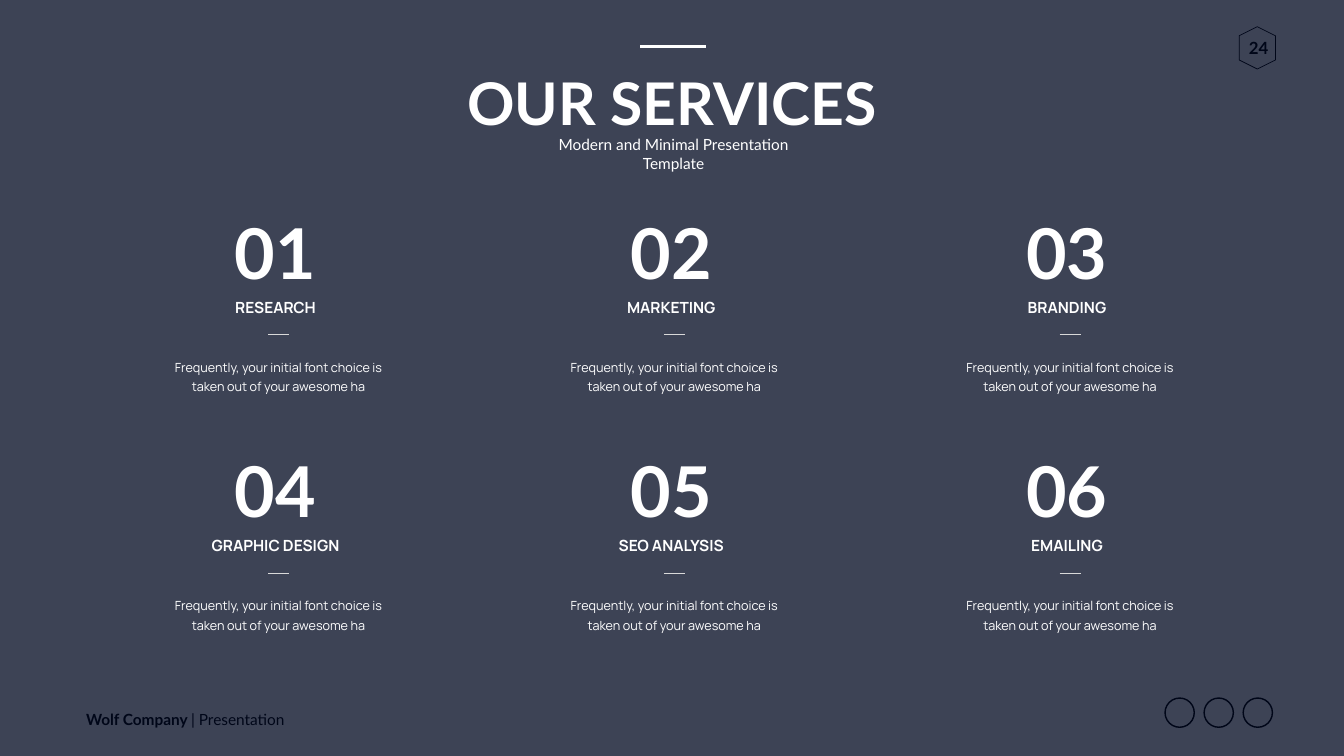
from dataclasses import dataclass

from lxml import etree
from pptx import Presentation
from pptx.dml.color import RGBColor
from pptx.enum import shapes, text
from pptx.oxml.ns import qn
from pptx.util import Inches, Pt


@dataclass(frozen=True)
class Theme:
    ink: str = "000000"
    paper: str = "FFFFFF"
    veil: str = "000820"
    veil_opacity: int = 76
    hairline: str = "D9D9D9"
    heading_font: str = "Lato"
    body_font: str = "Manrope"
    title: int = 84
    number: int = 100
    page_number: int = 24
    label: int = 22
    body: int = 18
    label_leading: float = 26.8
    body_leading: float = 27.4


THEME = Theme()
WIDTH, HEIGHT = 26.66, 15
COLUMN_PITCH, ROW_PITCH = 7.85, 4.73
DESCRIPTION = "Frequently, your initial font choice is taken out of your awesome ha"
# Name and width of its label
SERVICES = [
    ("RESEARCH", 1.81), ("MARKETING", 2.01), ("BRANDING", 1.83),
    ("GRAPHIC DESIGN", 2.83), ("SEO ANALYSIS", 2.38), ("EMAILING", 1.66),
]


def write(shape, runs, size, color=THEME.paper, font=THEME.heading_font,
          align=text.PP_ALIGN.CENTER, anchor=text.MSO_ANCHOR.TOP,
          wrap=False, inset=0.1, leading=None):
    """Fill a shape with one paragraph of (wording, bold) runs."""
    frame = shape.text_frame
    frame.word_wrap = wrap
    frame.auto_size = text.MSO_AUTO_SIZE.SHAPE_TO_FIT_TEXT
    frame.vertical_anchor = anchor
    frame.margin_left = frame.margin_right = Inches(inset)
    frame.margin_top = frame.margin_bottom = Inches(inset / 2)
    para = frame.paragraphs[0]
    para.alignment = align
    para.space_before = Pt(0)
    para.line_spacing = Pt(leading) if leading else 1.0
    for wording, bold in runs:
        span = para.add_run()
        span.text = wording
        span.font.name = font
        span.font.size = Pt(size)
        span.font.bold = bold
        span.font.color.rgb = RGBColor.from_string(color)


def add_text(page, box, runs, size, **style):
    write(page.shapes.add_textbox(*map(Inches, box)), runs, size, **style)


def add_rule(page, left, top, width, color, weight):
    rule = page.shapes.add_connector(
        shapes.MSO_CONNECTOR.STRAIGHT,
        Inches(left), Inches(top), Inches(left + width), Inches(top))
    rule.line.color.rgb = RGBColor.from_string(color)
    rule.line.width = Pt(weight)
    etree.SubElement(rule.element.spPr, qn("a:effectLst"))


def add_outline(page, kind, box, weight):
    shape = page.shapes.add_shape(kind, *map(Inches, box))
    shape.shadow.inherit = False
    shape.fill.background()
    shape.line.color.rgb = RGBColor.from_string(THEME.ink)
    shape.line.width = Pt(weight)
    return shape


def add_footer(page, left, top):
    add_text(page, (left, top, 4.17, 0.47),
             [("Wolf Company ", True), ("| Presentation", False)],
             THEME.label, color=THEME.ink, align=text.PP_ALIGN.LEFT,
             anchor=text.MSO_ANCHOR.MIDDLE)


def add_social_buttons(page, left, top, count=3, pitch=0.775, size=0.58):
    for index in range(count):
        add_outline(page, shapes.MSO_SHAPE.OVAL,
                    (left + index * pitch, top, size, size), 2)


def add_page_badge(page, left, top, number):
    badge = add_outline(page, shapes.MSO_SHAPE.HEXAGON, (left, top, 0.84, 0.72), 1)
    badge.rotation = 90
    add_text(page, (left - 0.03, top + 0.06, 0.95, 0.61), [(number, True)],
             THEME.page_number, color=THEME.ink, inset=0.2)


def add_veil(page):
    """Cover the page with a translucent dark sheet."""
    veil = page.shapes.add_shape(
        shapes.MSO_SHAPE.RECTANGLE, 0, 0, Inches(WIDTH), Inches(HEIGHT))
    veil.shadow.inherit = False
    veil.line.fill.background()
    veil.fill.solid()
    veil.fill.fore_color.rgb = RGBColor.from_string(THEME.veil)
    color = next(veil.element.iter(qn("a:srgbClr")))
    etree.SubElement(color, qn("a:alpha"), val=str(THEME.veil_opacity * 1000))


def place_placeholder(placeholder, box):
    """Position a placeholder and bring it to the front."""
    placeholder.left, placeholder.top, placeholder.width, placeholder.height = map(
        Inches, box)
    placeholder.element.getparent().append(placeholder.element)


def add_header(page, left, top):
    title, subtitle = page.shapes.title, page.placeholders[1]
    add_rule(page, left + 3.58, top, 1.3, THEME.paper, 4.5)
    place_placeholder(title, (left, top + 0.36, 8.42, 1.51))
    write(title, [("OUR SERVICES", True)], THEME.title)
    place_placeholder(subtitle, (left + 1.26, top + 1.73, 5.96, 0.81))
    write(subtitle, [("Modern and Minimal Presentation Template", False)],
          THEME.label, anchor=text.MSO_ANCHOR.MIDDLE, wrap=True)


def add_service(page, left, top, number, name, label_width):
    center = left + 2.455
    add_text(page, (center - 0.915, top, 1.83, 1.78), [(number, True)], THEME.number)
    add_text(page, (center - label_width / 2, top + 1.76, label_width, 0.48),
             [(name, True)], THEME.label, font=THEME.body_font,
             leading=THEME.label_leading)
    add_rule(page, left + 2.31, top + 2.54, 0.42, THEME.hairline, 0.5)
    add_text(page, (left, top + 2.84, 5.03, 1), [(DESCRIPTION, False)],
             THEME.body, font=THEME.body_font, wrap=True, inset=0.24,
             leading=THEME.body_leading)


def add_service_grid(page, left, top, columns=3):
    for index, (name, label_width) in enumerate(SERVICES):
        row, column = divmod(index, columns)
        add_service(page, left + column * COLUMN_PITCH, top + row * ROW_PITCH,
                    f"{index + 1:02}", name, label_width)


def main():
    deck = Presentation()
    deck.slide_width, deck.slide_height = Inches(WIDTH), Inches(HEIGHT)
    page = deck.slides.add_slide(deck.slide_layouts[0])
    add_footer(page, 1.61, 14.03)
    add_page_badge(page, 24.52, 0.59, "24")
    add_social_buttons(page, 23.11, 13.85)
    add_veil(page)
    add_header(page, 9.12, 0.92)
    add_service_grid(page, 3.01, 4.1)
    deck.save("out.pptx")


if __name__ == "__main__":
    main()
